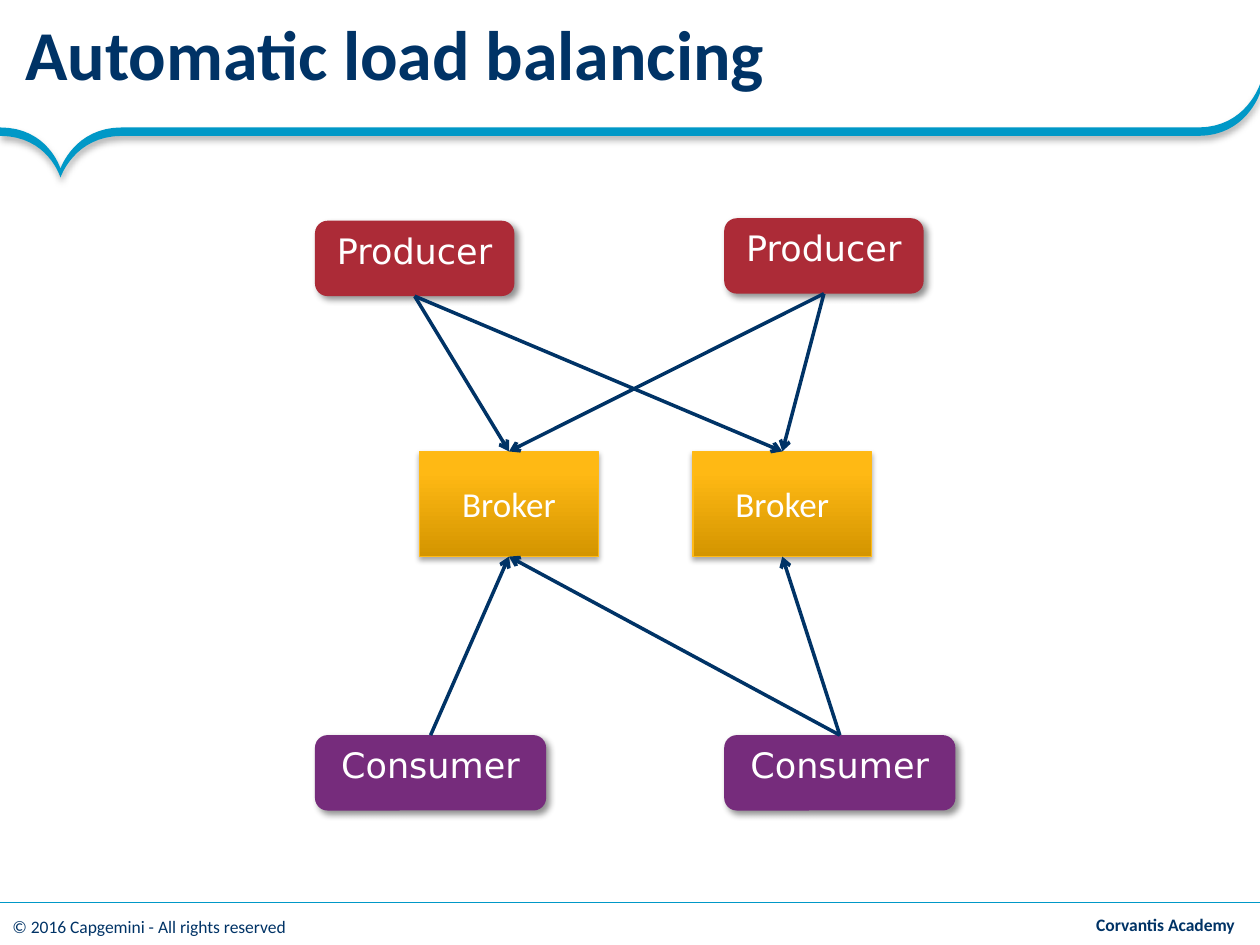
from copy import deepcopy

from lxml.etree import SubElement
from pptx import Presentation
from pptx.dml.color import RGBColor
from pptx.enum.shapes import MSO_CONNECTOR, MSO_SHAPE
from pptx.enum.text import MSO_ANCHOR, PP_ALIGN
from pptx.oxml.ns import qn
from pptx.util import Cm, Pt

NAVY = RGBColor(0x00, 0x33, 0x66)
BLUE = RGBColor(0x00, 0x98, 0xC7)
PURPLE = RGBColor(0x76, 0x2C, 0x7C)
RED = RGBColor(0xAC, 0x2B, 0x37)
AMBER = RGBColor(0xFF, 0xBA, 0x17)
WHITE = RGBColor(0xFF, 0xFF, 0xFF)
BROKER_STOPS = [(0, RGBColor(0xD4, 0x95, 0x00)), (0.8, RGBColor(0xFF, 0xB9, 0x14)),
                (1, RGBColor(0xFF, 0xBA, 0x15))]

SLIDE_WIDTH, SLIDE_HEIGHT = 25.4, 19.05
FOOTER_LINE_TOP = 18.2

TEXTS = [
    ("© 2016 Capgemini - All rights reserved", (0, 18.47, 8.05, 0.41), dict(size=10)),
    ("Corvantis Academy", (13.67, 18.36, 11.73, 0.64),
     dict(size=10, bold=True, align=PP_ALIGN.RIGHT, spacing=0.85, insets=(0.51, 0.13, 0.51, 0.13))),
    ("Automatic load balancing", (0, 0, 20.2, 2.54),
     dict(size=40, bold=True, spacing=0.7, insets=(0.51, 0.1, 0.3, 0.1))),
]

ROUNDED_TEXT = dict(size=20, font="DejaVu Sans", color=WHITE, align=PP_ALIGN.CENTER,
                    anchor=MSO_ANCHOR.TOP, insets=(0.18, 0.1, 0.18, 0.1))
BROKER_TEXT = dict(size=20, color=WHITE, align=PP_ALIGN.CENTER)
ROUNDED_SHADOW = dict(opacity=43, blur=4, distance=3, angle=45)
KINDS = {
    "Producer": dict(size=(4.02, 1.52), fill=RED, text=ROUNDED_TEXT, shadow=ROUNDED_SHADOW),
    "Broker": dict(size=(3.6, 2.12), fill=None, text=BROKER_TEXT,
                   shadow=dict(opacity=35, blur=3.1, distance=1.8, angle=90)),
    "Consumer": dict(size=(4.66, 1.52), fill=PURPLE, text=ROUNDED_TEXT, shadow=ROUNDED_SHADOW),
}
NODES = [
    ("Producer", 6.35, 4.45), ("Producer", 14.6, 4.4),
    ("Broker", 8.46, 9.1), ("Broker", 13.97, 9.1),
    ("Consumer", 6.35, 14.82), ("Consumer", 14.6, 14.82),
]
LINKS = [(0, 3), (0, 2), (1, 2), (1, 3), (4, 2), (5, 3), (5, 2)]
TOP_SITE, BOTTOM_SITE = 0, 2

BAND_START = (24.16, 2.57)
BAND_SEGMENTS = [
    [(2.46, 2.57)],
    [(1.5, 2.57), (1.22, 3.4), (1.22, 3.4)],
    [(1.22, 3.4), (0.97, 2.57), (0, 2.57)],
    [(0, 2.74)],
    [(0.97, 2.74), (1.22, 3.58), (1.22, 3.58)],
    [(1.22, 3.58), (1.5, 2.74), (2.46, 2.74)],
    [(24.16, 2.74)],
    [(25.12, 2.74), (25.4, 1.88), (25.4, 1.88)],
    [(25.4, 1.7)],
    [(25.4, 1.7), (25.12, 2.57), (24.16, 2.57)],
]
CURVE_STEPS = 16


def band_points():
    current = BAND_START
    points = []
    for segment in BAND_SEGMENTS:
        if len(segment) == 1:
            points.append(segment[0])
        else:
            controls = [current, *segment]
            for step in range(1, CURVE_STEPS + 1):
                t = step / CURVE_STEPS
                weights = ((1 - t) ** 3, 3 * t * (1 - t) ** 2, 3 * t * t * (1 - t), t ** 3)
                points.append(tuple(sum(w * c[axis] for w, c in zip(weights, controls))
                                    for axis in (0, 1)))
        current = segment[-1]
    return points


def write_text(shape, text, size, font="Calibri", color=NAVY, bold=False, align=PP_ALIGN.LEFT,
               anchor=MSO_ANCHOR.MIDDLE, spacing=None, insets=(0.25, 0.13, 0.25, 0.13)):
    frame = shape.text_frame
    frame.word_wrap = True
    frame.vertical_anchor = anchor
    frame.margin_left, frame.margin_top, frame.margin_right, frame.margin_bottom = map(Cm, insets)
    paragraph = frame.paragraphs[0]
    paragraph.alignment = align
    if spacing:
        paragraph.line_spacing = spacing
    run = paragraph.add_run()
    run.text = text
    run.font.name = font
    run.font.size = Pt(size)
    run.font.bold = bold
    run.font.color.rgb = color


def add_shadow(shape, opacity, blur, distance, angle):
    shape.shadow.inherit = False
    effects = shape._element.spPr.find(qn("a:effectLst"))
    outer = SubElement(effects, qn("a:outerShdw"), blurRad=str(Pt(blur)), dist=str(Pt(distance)),
                       dir=str(angle * 60000), rotWithShape="0")
    black = SubElement(outer, qn("a:srgbClr"), val="000000")
    SubElement(black, qn("a:alpha"), val=str(opacity * 1000))


def fill_gradient(shape, stops):
    shape.fill.gradient()
    shape.fill.gradient_angle = 90
    stop_list = shape._element.spPr.find(qn("a:gradFill")).find(qn("a:gsLst"))
    while len(stop_list) < len(stops):
        stop_list.append(deepcopy(stop_list[0]))
    for stop, (position, color) in zip(shape.fill.gradient_stops, stops):
        stop.position = position
        stop.color.rgb = color


def add_band(slide):
    builder = slide.shapes.build_freeform(Cm(BAND_START[0]), Cm(BAND_START[1]))
    builder.add_line_segments([(Cm(x), Cm(y)) for x, y in band_points()], close=True)
    band = builder.convert_to_shape()
    band.fill.solid()
    band.fill.fore_color.rgb = BLUE
    band.line.fill.background()
    add_shadow(band, opacity=31, blur=4, distance=2, angle=90)


def add_node(slide, name, left, top):
    kind = KINDS[name]
    preset = MSO_SHAPE.ROUNDED_RECTANGLE if kind["fill"] else MSO_SHAPE.RECTANGLE
    shape = slide.shapes.add_shape(preset, Cm(left), Cm(top), *map(Cm, kind["size"]))
    if kind["fill"]:
        shape.fill.solid()
        shape.fill.fore_color.rgb = kind["fill"]
        shape.line.fill.background()
    else:
        fill_gradient(shape, BROKER_STOPS)
        shape.line.color.rgb = AMBER
        shape.line.width = Pt(0.75)
    add_shadow(shape, **kind["shadow"])
    write_text(shape, name, **kind["text"])
    return shape


def add_line(slide, start, end, color, width):
    line = slide.shapes.add_connector(MSO_CONNECTOR.STRAIGHT, *map(Cm, start + end))
    line.line.color.rgb = color
    line.line.width = Pt(width)
    SubElement(line._element.spPr, qn("a:effectLst"))
    return line


def add_link(slide, source, target):
    link = add_line(slide, (0, 0), (1, 1), NAVY, 2)
    downward = source.top < target.top
    link.begin_connect(source, BOTTOM_SITE if downward else TOP_SITE)
    link.end_connect(target, TOP_SITE if downward else BOTTOM_SITE)
    SubElement(link.line._get_or_add_ln(), qn("a:tailEnd"), type="arrow")


def main():
    presentation = Presentation()
    presentation.slide_width = Cm(SLIDE_WIDTH)
    presentation.slide_height = Cm(SLIDE_HEIGHT)
    slide = presentation.slides.add_slide(presentation.slide_layouts[6])
    add_line(slide, (SLIDE_WIDTH, FOOTER_LINE_TOP), (0, FOOTER_LINE_TOP), BLUE, 0.75)
    add_band(slide)
    for text, box, text_format in TEXTS:
        write_text(slide.shapes.add_textbox(*map(Cm, box)), text, **text_format)
    nodes = [add_node(slide, *node) for node in NODES]
    for source, target in LINKS:
        add_link(slide, nodes[source], nodes[target])
    presentation.save("out.pptx")


if __name__ == "__main__":
    main()
